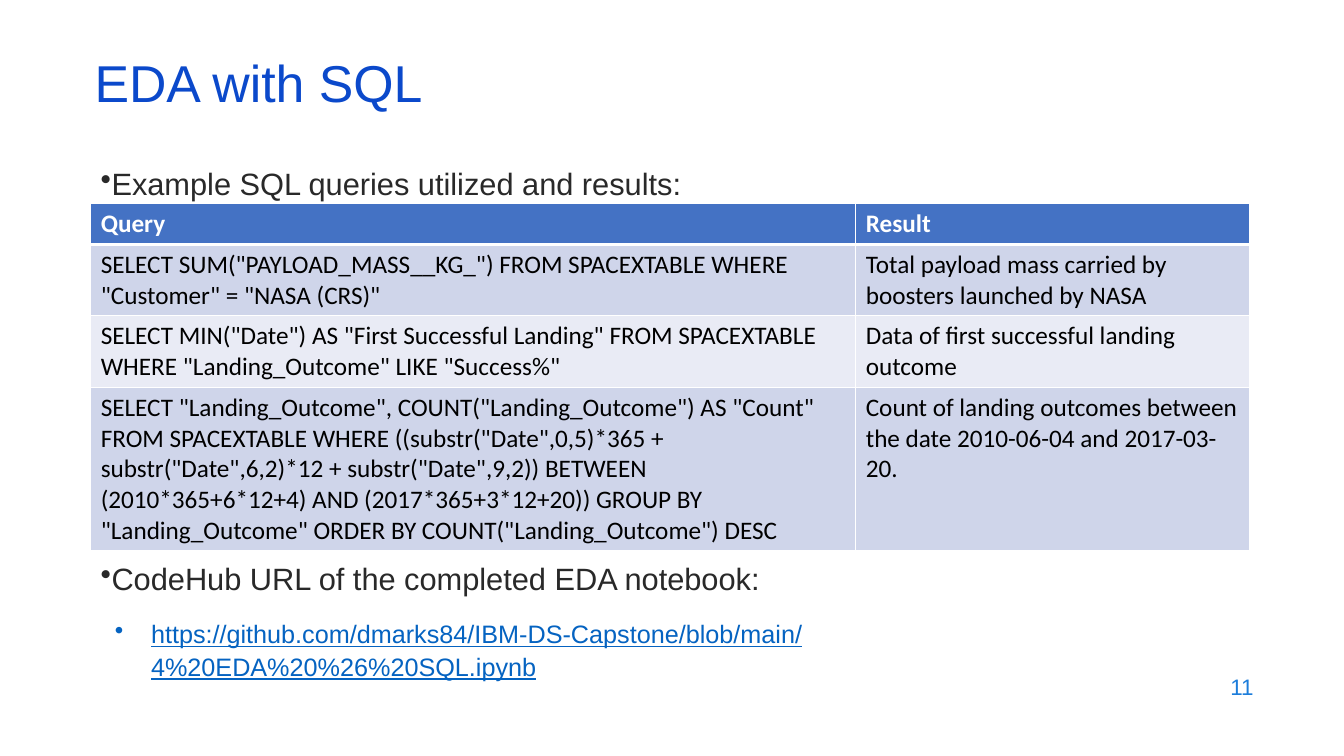
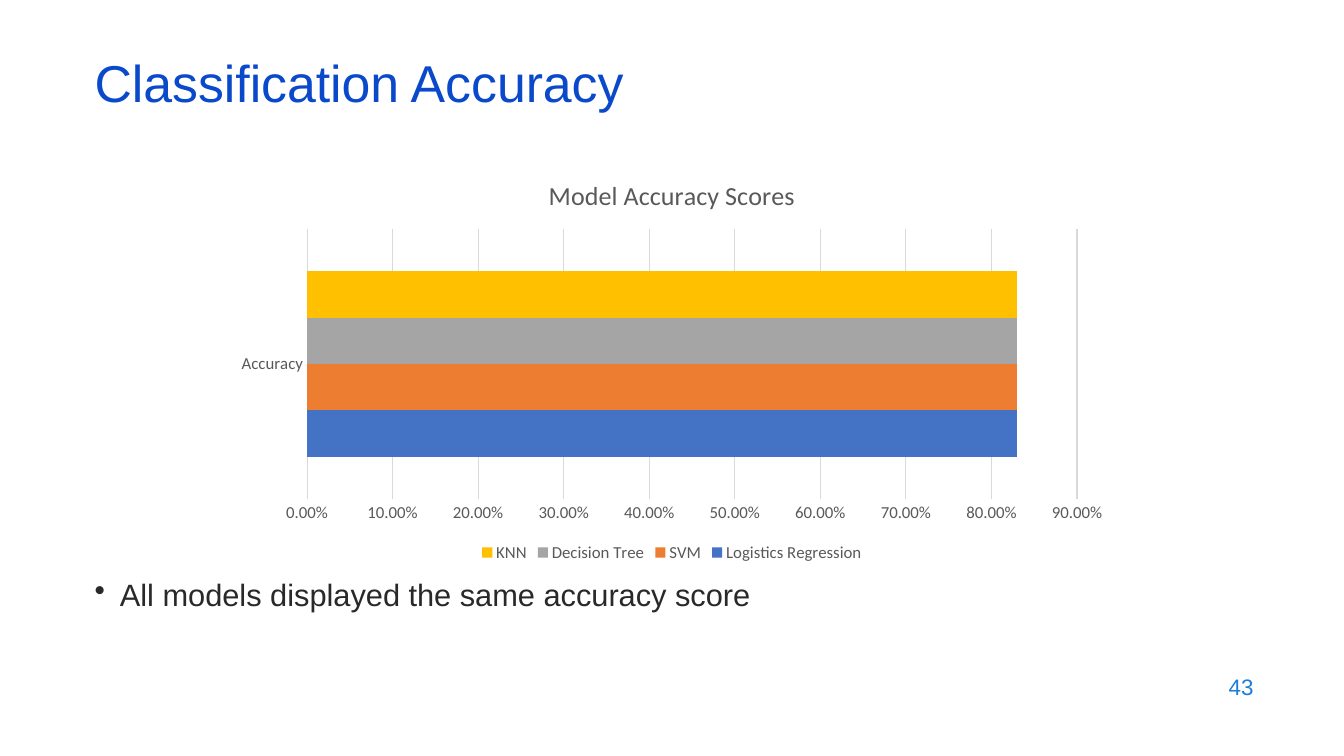
from pptx import Presentation
from pptx.chart.data import CategoryChartData
from pptx.dml.color import RGBColor
from pptx.enum.chart import XL_CHART_TYPE, XL_LEGEND_POSITION, XL_TICK_MARK
from pptx.enum.text import MSO_ANCHOR, PP_ALIGN
from pptx.oxml import parse_xml
from pptx.oxml.ns import nsdecls, qn
from pptx.util import Inches, Pt
from lxml.etree import SubElement

WIDE, HIGH = Inches(13.33), Inches(7.5)
BLUE, PAGE, INK, LINK = "0B49CB", "1C7DDB", "292929", "0563C1"
HEAD, BANDS = "4472C4", ("CFD5EA", "E9EBF5")
GRAY, RULE = "595959", "D9D9D9"
BODY, DATA = "Arial", "Calibri"


def hue(code):
    return RGBColor.from_string(code)


def style(font, size, color, name=DATA, bold=False, under=False):
    font.size, font.name = Pt(size), name
    font.bold, font.underline = bold, under
    font.color.rgb = hue(color)


def write(para, text, size=22, color=INK, name=BODY, bold=False, under=False,
          align=PP_ALIGN.LEFT, lead=None, above=None, dot=False, left=0, hang=0):
    """Fill one paragraph; left and hang are in grid columns."""
    if dot:
        props = para._p.get_or_add_pPr()
        props.set("marL", str(Deck.col(left)))
        props.set("indent", str(-Deck.col(hang)))
        SubElement(props, qn("a:buChar")).set("char", "•")
    para.alignment = align
    if lead:
        para.line_spacing = lead
    if above:
        para.space_before = Pt(above)
    run = para.add_run()
    run.text = text
    style(run.font, size, color, name, bold, under)


class Deck:
    """Slides on a grid of 100 columns by 100 rows."""

    def __init__(self):
        self.file = Presentation()
        self.file.slide_width, self.file.slide_height = WIDE, HIGH

    @staticmethod
    def col(count):
        return int(WIDE * count / 100)

    @staticmethod
    def row(count):
        return int(HIGH * count / 100)

    def area(self, x, y, w, h):
        return self.col(x), self.row(y), self.col(w), self.row(h)

    def page(self, title, number):
        self.slide = self.file.slides.add_slide(self.file.slide_layouts[6])
        self.text((6.3, 7.87, 86.25, 8), [(title, dict(size=37, color=BLUE, lead=0.7))],
                  MSO_ANCHOR.MIDDLE)
        self.text((71.5, 87.87, 22.5, 5.87),
                  [(number, dict(size=16, color=PAGE, align=PP_ALIGN.RIGHT))],
                  MSO_ANCHOR.MIDDLE)

    def text(self, area, lines, anchor=MSO_ANCHOR.TOP):
        frame = self.slide.shapes.add_textbox(*self.area(*area)).text_frame
        frame.word_wrap, frame.vertical_anchor = True, anchor
        for i, (line, look) in enumerate(lines):
            para = frame.add_paragraph() if i else frame.paragraphs[0]
            write(para, line, **look)

    def table(self, area, shares, rows, highs):
        grid = self.slide.shapes.add_table(len(rows), len(shares), *self.area(*area)).table
        for column, share in zip(grid.columns, shares):
            column.width = self.col(area[2] * share)
        for r, (row, high) in enumerate(zip(rows, highs)):
            grid.rows[r].height = self.row(high)
            for c, words in enumerate(row):
                self.cell(grid.cell(r, c), words, r)

    def cell(self, cell, words, r):
        top = r == 0
        write(cell.text_frame.paragraphs[0], words, size=18, name=DATA, bold=top,
              color="FFFFFF" if top else "000000")
        cell.fill.solid()
        cell.fill.fore_color.rgb = hue(HEAD if top else BANDS[(r - 1) % 2])
        # White rules, thicker around the foot of the header
        thick = {"T": 3 if r == 1 else 1, "B": 3 if top else 1}
        for i, side in enumerate("LRTB"):
            cell._tc.get_or_add_tcPr().insert(i, parse_xml(
                f'<a:ln{side} {nsdecls("a")} w="{Pt(thick.get(side, 1))}"><a:solidFill>'
                f'<a:srgbClr val="FFFFFF"/></a:solidFill></a:ln{side}>'))

    def bars(self, area, title, group, series):
        data = CategoryChartData(number_format="0.00%")
        data.categories = [group]
        for name, value, _ in series:
            data.add_series(name, [value])
        chart = self.slide.shapes.add_chart(
            XL_CHART_TYPE.BAR_CLUSTERED, *self.area(*area), data).chart
        style(chart.font, 12, GRAY)

        # Title and legend
        chart.has_title = True
        write(chart.chart_title.text_frame.paragraphs[0], title, size=18.6,
              color=GRAY, name=DATA, align=PP_ALIGN.CENTER)
        chart.has_legend = True
        chart.legend.position = XL_LEGEND_POSITION.BOTTOM
        chart.legend.include_in_layout = False
        style(chart.legend.font, 12, GRAY)

        # Bars
        plot = chart.plots[0]
        plot.gap_width, plot.overlap, plot.vary_by_categories = 182, 0, False
        for bar, (_, _, color) in zip(plot.series, series):
            bar.format.fill.solid()
            bar.format.fill.fore_color.rgb = hue(color)

        # Axes
        scale, names = chart.value_axis, chart.category_axis
        for axis in (scale, names):
            axis.major_tick_mark = axis.minor_tick_mark = XL_TICK_MARK.NONE
            style(axis.tick_labels.font, 12, GRAY)
        scale.minimum_scale, scale.maximum_scale, scale.major_unit = 0, 0.9, 0.1
        scale.tick_labels.number_format = "0.00%"
        scale.tick_labels.number_format_is_linked = False
        scale.format.line.fill.background()
        for line in (names.format.line, scale.major_gridlines.format.line):
            line.color.rgb, line.width = hue(RULE), Pt(0.75)


def main():
    deck = Deck()
    point = dict(dot=True, lead=1.07)

    # Queries
    deck.page("EDA with SQL", "11")
    deck.text((6.75, 20.8, 80, 5.2), [("Example SQL queries utilized and results:", point)])
    deck.text((6.75, 73.07, 80, 18), [
        ("CodeHub URL of the completed EDA notebook:", point),
        ("https://github.com/dmarks84/IBM-DS-Capstone/blob/main/4%20EDA%20%26%20SQL.ipynb",
         dict(point, size=18, color=LINK, under=True, above=14, left=3.75, hang=2.7))])
    queries = [
        ("Query", "Result"),
        ('SELECT SUM("PAYLOAD_MASS__KG_") FROM SPACEXTABLE WHERE "Customer" = "NASA (CRS)"',
         "Total payload mass carried by boosters launched by NASA"),
        ('SELECT MIN("Date") AS "First Successful Landing" FROM SPACEXTABLE '
         'WHERE "Landing_Outcome" LIKE "Success%"',
         "Data of first successful landing outcome"),
        ('SELECT "Landing_Outcome", COUNT("Landing_Outcome") AS "Count" FROM SPACEXTABLE '
         'WHERE ((substr("Date",0,5)*365 + substr("Date",6,2)*12 + substr("Date",9,2)) '
         'BETWEEN (2010*365+6*12+4) AND (2017*365+3*12+20)) GROUP BY "Landing_Outcome" '
         'ORDER BY COUNT("Landing_Outcome") DESC',
         "Count of landing outcomes between the date 2010-06-04 and 2017-03-20."),
    ]
    highs = [5.4 + 4.05 * (lines - 1) for lines in (1, 2, 2, 5)]
    deck.table((6.75, 26.93, 86.25, sum(highs)), (0.66, 0.34), queries, highs)

    # Accuracy
    deck.page("Classification Accuracy", "43")
    deck.bars((16.65, 21.07, 66.7, 53.87), "Model Accuracy Scores", "Accuracy", [
        ("Logistics Regression", 0.83, "4472C4"), ("SVM", 0.83, "ED7D31"),
        ("Decision Tree", 0.83, "A5A5A5"), ("KNN", 0.83, "FFC000")])
    deck.text((6.3, 75.2, 78, 8), [("All models displayed the same accuracy score",
                                    dict(point, left=1.88, hang=1.88))])

    deck.file.save("out.pptx")


if __name__ == "__main__":
    main()
